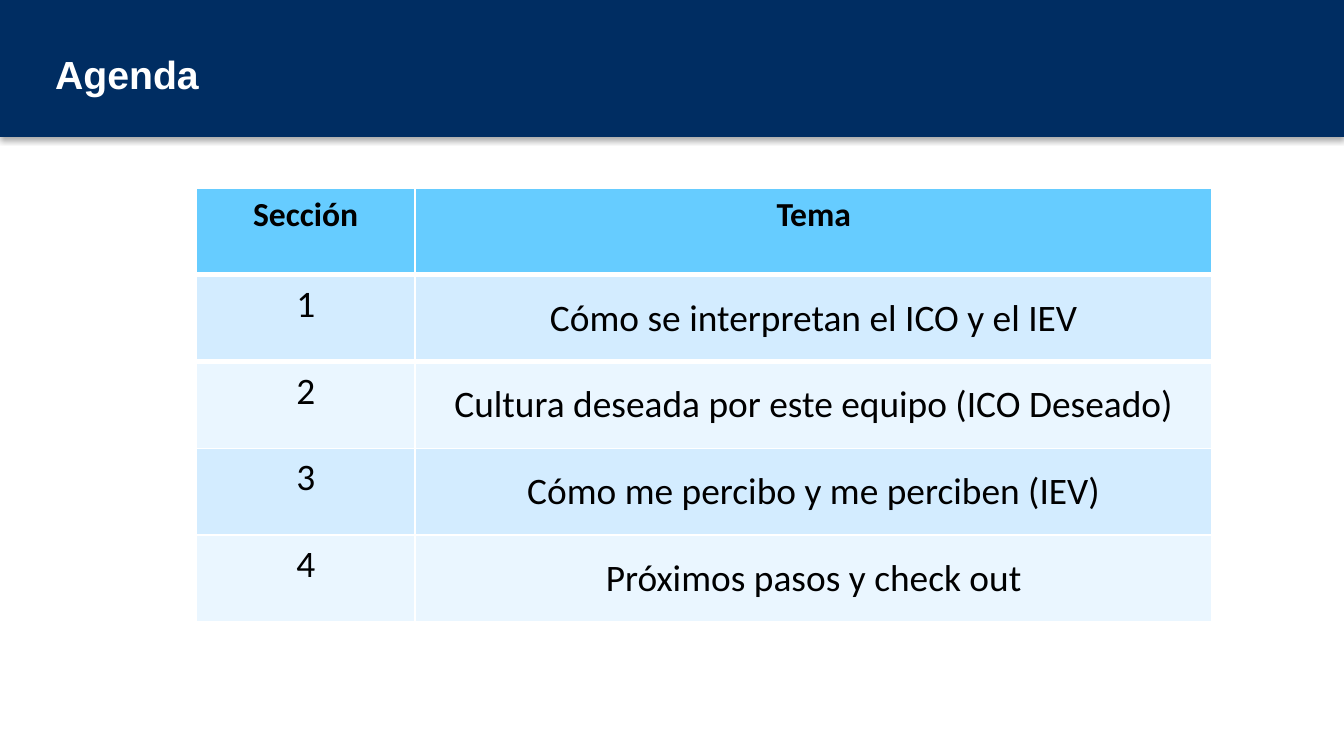
from lxml.etree import SubElement
from pptx import Presentation
from pptx.dml.color import RGBColor
from pptx.enum.shapes import MSO_SHAPE
from pptx.enum.text import MSO_ANCHOR as ANCHOR, PP_ALIGN as ALIGN
from pptx.oxml.ns import qn
from pptx.util import Inches, Pt

TITLE = "Agenda"
HEADER = ("Sección", "Tema")
TOPICS = [
    "Cómo se interpretan el ICO y el IEV",
    "Cultura deseada por este equipo (ICO Deseado)",
    "Cómo me percibo y me perciben (IEV)",
    "Próximos pasos y check out",
]

THEME = {
    "banner": "002D62", "title": "FFFFFF", "text": "000000", "shadow": "000000",
    "header": "66CCFF", "bands": ("D3ECFF", "EAF6FF"), "border": "FFFFFF",
    "title_font": "Arial", "table_font": "Calibri",
    "title_size": 21, "header_size": 18, "body_size": 20,
}
WIDTH = 10
HEIGHT = WIDTH * 9 / 16
COLUMNS = (1.63, 5.93)
TABLE_HEIGHT = 3.23


def write(tf, text, *, font, size, color, bold=False, align=ALIGN.LEFT):
    p = tf.paragraphs[0]
    p.alignment = align
    r = p.add_run()
    r.text = text
    r.font.name, r.font.size, r.font.bold = font, Pt(size), bold
    r.font.color.rgb = RGBColor.from_string(color)


def paint(fill, color):
    fill.solid()
    fill.fore_color.rgb = RGBColor.from_string(color)


def drop_shadow(sp, color, *, blur, distance, opacity):
    """Give a shape a soft shadow straight below it."""
    sp.shadow.inherit = False
    effects = sp._element.spPr.find(qn("a:effectLst"))
    shadow = SubElement(effects, qn("a:outerShdw"), blurRad=str(Pt(blur)),
                        dist=str(Pt(distance)), dir=str(90 * 60000),
                        rotWithShape="0")
    tint = SubElement(shadow, qn("a:srgbClr"), val=color)
    SubElement(tint, qn("a:alpha"), val=str(opacity * 1000))


def add_borders(cell, color, **widths):
    """Draw cell sides, given in the order L, R, T, B; call before filling."""
    props = cell._tc.get_or_add_tcPr()
    for side, width in widths.items():
        line = SubElement(props, qn(f"a:ln{side}"), w=str(Pt(width)))
        SubElement(SubElement(line, qn("a:solidFill")), qn("a:srgbClr"), val=color)


def add_banner(slide):
    sp = slide.shapes.add_shape(MSO_SHAPE.RECTANGLE, 0, Inches(-0.01),
                                Inches(WIDTH), Inches(1.03))
    paint(sp.fill, THEME["banner"])
    sp.line.fill.background()
    drop_shadow(sp, THEME["shadow"], blur=3, distance=1.8, opacity=35)

    box = slide.shapes.add_textbox(Inches(0.37), Inches(0.2),
                                   Inches(8.85), Inches(0.7))
    tf = box.text_frame
    tf.word_wrap = True
    tf.vertical_anchor = ANCHOR.MIDDLE
    tf.margin_left = tf.margin_right = Inches(0.04)
    tf.margin_top = tf.margin_bottom = Inches(0.04)
    write(tf, TITLE, font=THEME["title_font"], size=THEME["title_size"],
          color=THEME["title"], bold=True)


def add_agenda(slide):
    rows = [HEADER] + [(str(n), topic) for n, topic in enumerate(TOPICS, 1)]
    table = slide.shapes.add_table(
        len(rows), len(COLUMNS), Inches(1.46), Inches(1.4),
        Inches(sum(COLUMNS)), Inches(TABLE_HEIGHT)).table
    for column, width in zip(table.columns, COLUMNS):
        column.width = Inches(width)
    for i, row in enumerate(rows):
        is_header = i == 0
        color = THEME["header"] if is_header else THEME["bands"][(i - 1) % 2]
        size = THEME["header_size"] if is_header else THEME["body_size"]
        for j, text in enumerate(row):
            cell = table.cell(i, j)
            if is_header:
                add_borders(cell, THEME["border"], L=1, R=1, T=1, B=3)
            elif i == 1:
                add_borders(cell, THEME["border"], T=3)
            paint(cell.fill, color)
            is_topic = j == 1 and not is_header
            cell.vertical_anchor = ANCHOR.MIDDLE if is_topic else ANCHOR.TOP
            write(cell.text_frame, text, font=THEME["table_font"], size=size,
                  color=THEME["text"], bold=is_header, align=ALIGN.CENTER)


def main():
    prs = Presentation()
    prs.slide_width, prs.slide_height = Inches(WIDTH), Inches(HEIGHT)
    slide = prs.slides.add_slide(prs.slide_layouts[6])
    add_banner(slide)
    add_agenda(slide)
    prs.save("out.pptx")


if __name__ == "__main__":
    main()
